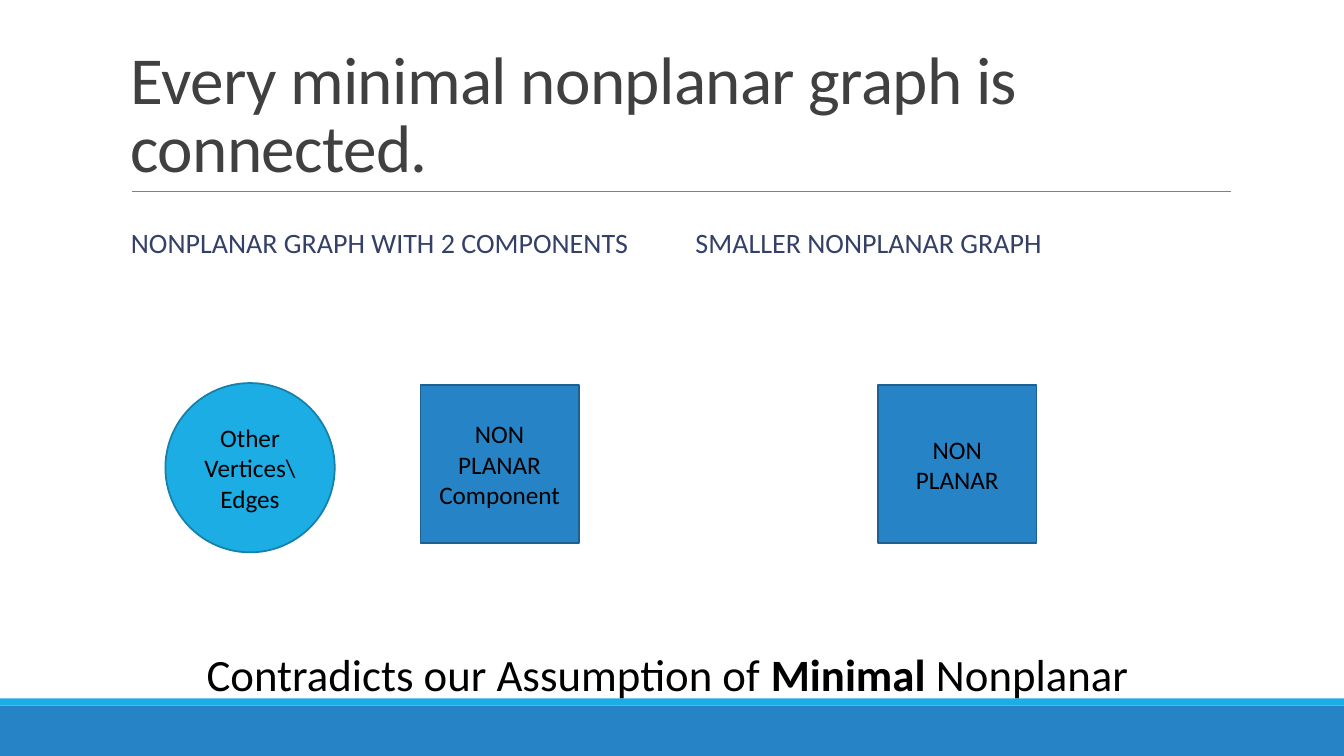
"""Build the slide on why every minimal nonplanar graph is connected."""
from lxml import etree
from pptx import Presentation
from pptx.dml.color import RGBColor
from pptx.enum.shapes import MSO_CONNECTOR, MSO_SHAPE
from pptx.enum.text import MSO_ANCHOR, PP_ALIGN
from pptx.oxml.ns import qn
from pptx.util import Inches, Pt

RECTANGLE, OVAL = MSO_SHAPE.RECTANGLE, MSO_SHAPE.OVAL
STRAIGHT = MSO_CONNECTOR.STRAIGHT
TOP, MIDDLE, BOTTOM = MSO_ANCHOR.TOP, MSO_ANCHOR.MIDDLE, MSO_ANCHOR.BOTTOM
CENTER = PP_ALIGN.CENTER
BLUE = RGBColor(0x26, 0x83, 0xC6)
DARK_BLUE = RGBColor(0x1C, 0x61, 0x92)
CYAN = RGBColor(0x1C, 0xAD, 0xE4)
DARK_CYAN = RGBColor(0x15, 0x80, 0xA9)
NAVY = RGBColor(0x34, 0x40, 0x68)
CHARCOAL = RGBColor(0x40, 0x40, 0x40)
GRAY = RGBColor(0x80, 0x80, 0x80)
BLACK = RGBColor(0, 0, 0)


def add_shape(kind, left, top, width, height, fill):
    shape = page.shapes.add_shape(
        kind, Inches(left), Inches(top), Inches(width), Inches(height))
    shape.shadow.inherit = False
    shape.fill.solid()
    shape.fill.fore_color.rgb = fill
    shape.line.fill.background()
    return shape


def add_text(left, top, width, height, spans, size, color, anchor):
    box = page.shapes.add_textbox(
        Inches(left), Inches(top), Inches(width), Inches(height))
    frame = box.text_frame
    frame.word_wrap = True
    frame.vertical_anchor = anchor
    para = frame.paragraphs[0]
    para.font.name = "Calibri"
    para.font.size = Pt(size)
    para.font.color.rgb = color
    for text in spans:
        para.add_run().text = text
    return para


deck = Presentation()
deck.slide_width, deck.slide_height = Inches(13.33), Inches(7.5)
page = deck.slides.add_slide(deck.slide_layouts[6])

add_shape(RECTANGLE, 0, 7, 13.33, 0.5, BLUE)
add_shape(RECTANGLE, 0, 6.93, 13.33, 0.07, CYAN)

rule = page.shapes.add_connector(
    STRAIGHT, Inches(1.31), Inches(1.9), Inches(12.21), Inches(1.9))
rule.line.color.rgb = GRAY
rule.line.width = Pt(0.5)
etree.SubElement(rule._element.spPr, qn("a:effectLst"))

title = add_text(1.2, 0.31, 11, 1.59, ["Every minimal nonplanar graph is connected."],
                 48, CHARCOAL, BOTTOM)
title.line_spacing = 0.85
title.runs[0].font._element.set("spc", "-50")

for left, heading in [(1.2, "NONPLANAR GRAPH WITH 2 COMPONENTS"),
                      (6.8, "SMALLER NONPLANAR GRAPH")]:
    para = add_text(left, 2.02, 5.4, 0.81, [heading], 20, NAVY, MIDDLE)
    para.line_spacing = 0.9
    para.space_before = Pt(12)
    para.space_after = Pt(2)

conclusion = add_text(1.95, 6.37, 9.69, 0.64,
                      ["Contradicts our Assumption of ", "Minimal", " Nonplanar"],
                      32, BLACK, TOP)
conclusion.runs[1].font.bold = True

for kind, left, top, side, fill, outline, lines in [
    (OVAL, 1.64, 3.8, 1.68, CYAN, DARK_CYAN, ["Other", "Vertices\\Edges"]),
    (RECTANGLE, 4.17, 3.82, 1.57, BLUE, DARK_BLUE, ["NON", "PLANAR", "Component"]),
    (RECTANGLE, 8.71, 3.82, 1.57, BLUE, DARK_BLUE, ["NON", "PLANAR"]),
]:
    part = add_shape(kind, left, top, side, side, fill)
    part.line.color.rgb = outline
    part.line.width = Pt(1.25)
    part.text_frame.vertical_anchor = MIDDLE
    part.text_frame.text = "\n".join(lines)
    for para in part.text_frame.paragraphs:
        para.alignment = CENTER
        para.font.name = "Calibri"
        para.font.size = Pt(18)
        para.font.color.rgb = BLACK

deck.save("out.pptx")
